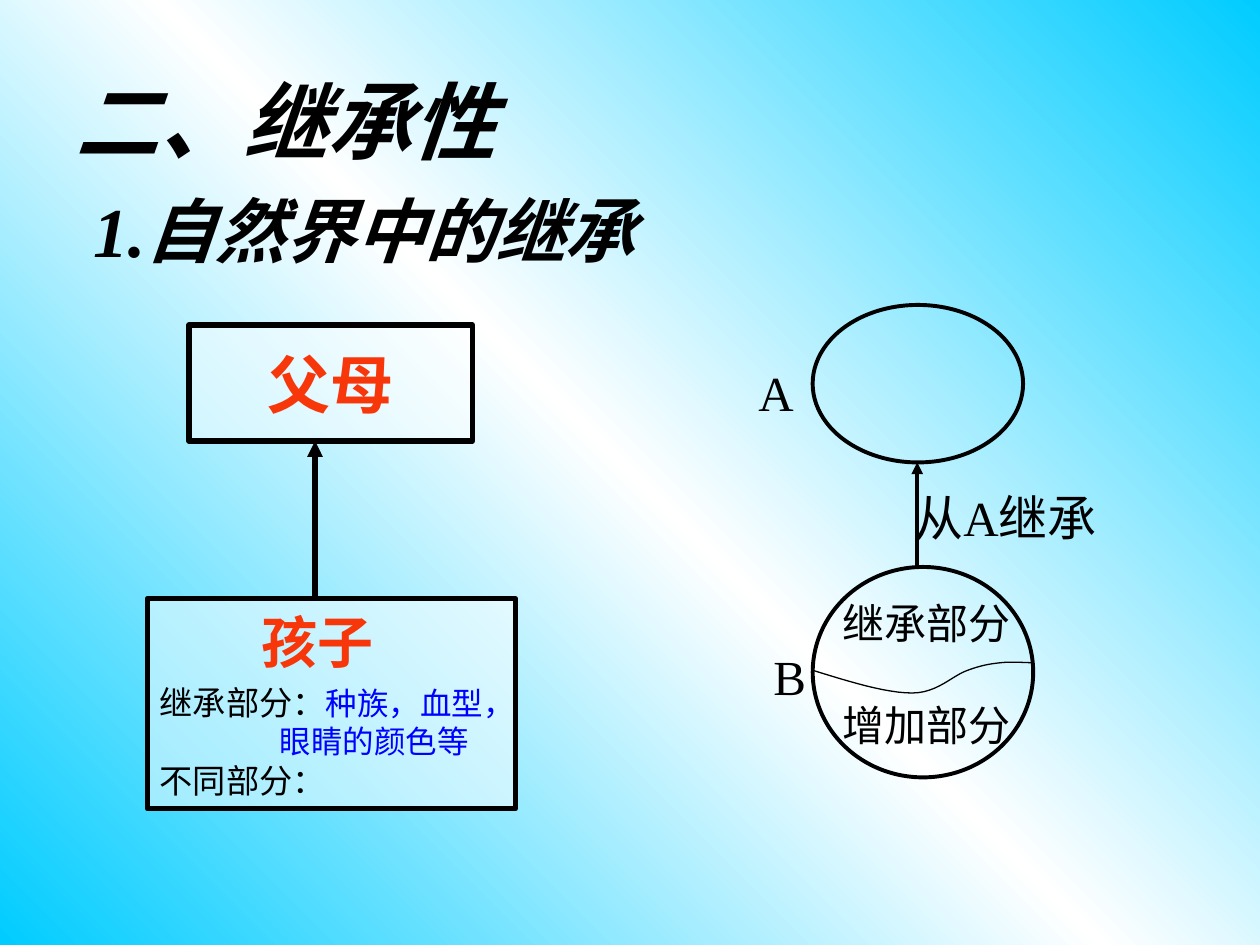
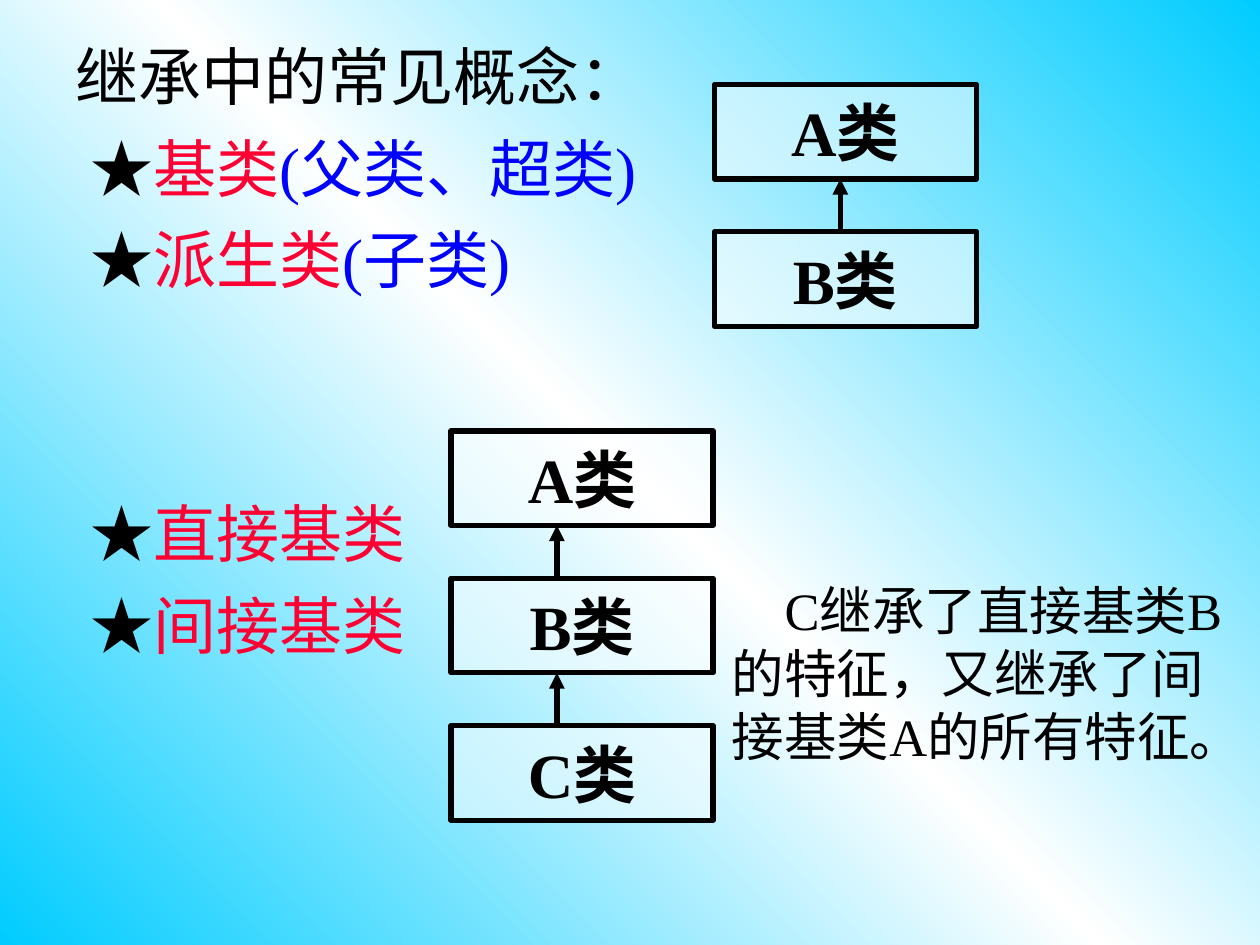
import pptx
import pptx.util
import pptx.dml.color
import pptx.enum.shapes
import pptx.enum.text
import pptx.oxml
import pptx.oxml.ns

Inches, Pt = pptx.util.Inches, pptx.util.Pt
Color = pptx.dml.color.RGBColor
Shape = pptx.enum.shapes.MSO_SHAPE
Align = pptx.enum.text.PP_ALIGN
Anchor = pptx.enum.text.MSO_ANCHOR

BLACK = Color(0x00, 0x00, 0x00)
WHITE = Color(0xFF, 0xFF, 0xFF)
ORANGE = Color(0xF7, 0x36, 0x09)
RED = Color(0xFF, 0x00, 0x33)
BLUE = Color(0x00, 0x00, 0xFF)
SKY = Color(0x00, 0xCC, 0xFF)
FONT = "Times New Roman"
NS = pptx.oxml.ns.nsdecls("a")


def element(xml):
    """Parse one DrawingML element, given without its namespace."""
    tag, rest = xml[1:].split(" ", 1)
    return pptx.oxml.parse_xml(f"<a:{tag} {NS} {rest}")


def backdrop(slide):
    fill = slide.background.fill
    fill.solid()
    stops = "".join(f'<a:gs pos="{pos}"><a:srgbClr val="{color}"/></a:gs>'
                    for pos, color in ((0, SKY), (50000, WHITE), (100000, SKY)))
    grad = element(f'<gradFill rotWithShape="1"><a:gsLst>{stops}</a:gsLst>'
                   '<a:lin ang="18900000" scaled="1"/></a:gradFill>')
    solid = slide.background._cSld.bg.bgPr.find(pptx.oxml.ns.qn("a:solidFill"))
    solid.getparent().replace(solid, grad)


def write(frame, runs, size=36, color=BLACK, bold=False, italic=False,
          align=None, before=0, left=0, first=0):
    """Add a paragraph; runs is a text or a list of (text, colour, size)."""
    para = frame.paragraphs[0]
    if para.runs:
        para = frame.add_paragraph()
    para.alignment = align
    para.space_before = Pt(before)
    props = para._p.get_or_add_pPr()
    props.set("marL", str(Inches(left)))
    props.set("indent", str(Inches(first)))
    for words, tint, points in [(runs, color, size)] if isinstance(runs, str) else runs:
        run = para.add_run()
        run.text = words
        font = run.font
        font.name, font.size = FONT, Pt(points)
        font.bold, font.italic = bold, italic
        font.color.rgb = tint


def area(shapes, x, y, w, h, wrap=True):
    """Add an empty text box and return its frame."""
    frame = shapes.add_textbox(Inches(x), Inches(y), Inches(w), Inches(h)).text_frame
    frame.word_wrap = wrap
    return frame


def label(shapes, x, y, w, h, words, size):
    write(area(shapes, x, y, w, h, wrap=False), words, size=size)


def outline(shape, width):
    shape.shadow.inherit = False
    shape.line.color.rgb = BLACK
    shape.line.width = Pt(width)


def box(shapes, x, y, w, h):
    """Add a half-clear white box and return its frame."""
    rect = shapes.add_shape(Shape.RECTANGLE, Inches(x), Inches(y), Inches(w), Inches(h))
    outline(rect, 3)
    rect.fill.solid()
    rect.fill.fore_color.rgb = WHITE
    tint = rect._element.spPr.find(".//" + pptx.oxml.ns.qn("a:srgbClr"))
    tint.append(element('<alpha val="50000"/>'))
    frame = rect.text_frame
    frame.word_wrap = False
    frame.vertical_anchor = Anchor.MIDDLE
    frame.paragraphs[0].alignment = Align.LEFT
    return frame


def oval(shapes, x, y, w, h):
    ring = shapes.add_shape(Shape.OVAL, Inches(x), Inches(y), Inches(w), Inches(h))
    outline(ring, 2.25)
    ring.fill.background()


def arrow(shapes, x, low, high, width=3):
    """Draw an upright arrow that points up from low to high."""
    line = shapes.add_connector(pptx.enum.shapes.MSO_CONNECTOR.STRAIGHT,
                                Inches(x), Inches(low), Inches(x), Inches(high))
    line.line.color.rgb = BLACK
    line.line.width = Pt(width)
    line.line._get_or_add_ln().append(element('<tailEnd type="triangle"/>'))
    line._element.spPr.append(element('<effectLst />'))


def wave(shapes, x, y):
    """Draw the curve that parts the two halves of a circle."""
    knots = [(0, .07), (.29, .16), (.58, .25), (.79, .25), (.99, .25), (1.11, .11),
             (1.23, .07), (1.34, .03), (1.40, .02), (1.49, .01), (1.58, 0),
             (1.69, .01), (1.75, .01)]
    steps = 12
    points = []
    for k in range(0, len(knots) - 1, 3):
        for n in range(1, steps + 1):
            t = n / steps
            parts = ((1 - t) ** 3, 3 * t * (1 - t) ** 2, 3 * t * t * (1 - t), t ** 3)
            points.append([Inches(base + sum(p * knot[axis] for p, knot
                                             in zip(parts, knots[k:k + 4])))
                           for axis, base in enumerate((x, y))])
    path = shapes.build_freeform(Inches(x + knots[0][0]), Inches(y + knots[0][1]))
    path.add_line_segments(points, close=False)
    curve = path.convert_to_shape()
    outline(curve, .75)
    curve.fill.background()


def stack(shapes, x, y, names, stem):
    """Pile class boxes, with an arrow from each up to the one above."""
    high, gap = .75, .42
    for row, name in enumerate(names):
        top = y + row * (high + gap)
        write(box(shapes, x, top, 2.08, high), name + "类", bold=True,
              align=Align.CENTER, before=9)
        if row:
            arrow(shapes, x + stem, top, top - gap)


def family(shapes, x, y):
    """Parents and child, joined by an arrow."""
    write(box(shapes, x + .33, y, 2.25, .92), "父母", color=ORANGE, bold=True,
          align=Align.CENTER, before=9)
    child = box(shapes, x, y + 2.17, 2.92, 1.67)
    write(child, "孩子", size=32, color=ORANGE, bold=True, before=8, left=.81)
    write(child, [("继承部分：", BLACK, 19), ("种族，血型，", BLUE, 18)], before=4.5)
    write(child, "眼睛的颜色等", size=18, color=BLUE, left=.95)
    write(child, "不同部分：", size=19)
    arrow(shapes, x + 1.33, y + 2.17, y + .92)


def derive(shapes, x, y):
    """Circle B takes from oval A."""
    oval(shapes, x, y, 1.67, 1.25)
    label(shapes, x - .53, y + .41, .48, .57, "A", 28)
    oval(shapes, x, y + 2.08, 1.75, 1.67)
    label(shapes, x - .41, y + 2.66, .46, .57, "B", 28)
    wave(shapes, x, y + 2.83)
    for drop, words in ((2.27, "继承部分"), (3.08, "增加部分")):
        label(shapes, x + .14, y + drop, 1.53, .5, words, 24)
    arrow(shapes, x + .83, y + 2.08, y + 1.25, 2.25)
    label(shapes, x + .71, y + 1.4, 1.83, .57, "从A继承", 28)


def nature(slide):
    shapes = slide.shapes
    head = area(shapes, .5, .5, 6.17, 1.83)
    write(head, "二、继承性", size=48, bold=True, italic=True, before=12)
    write(head, "1.自然界中的继承", size=40, bold=True, italic=True, before=10, left=.14)
    family(shapes, 1.17, 2.58)
    derive(shapes, 6.45, 2.42)


def terms(slide):
    shapes = slide.shapes
    body = area(shapes, .5, .25, 9.5, 6.67)
    write(body, "继承中的常见概念：", before=9)
    for term, alias, before in (("基类", "(父类、超类)", 9), ("派生类", "(子类)", 9),
                                ("直接基类", "", 113.6), ("间接基类", "", 9)):
        runs = [("★", BLACK, 36), (term, RED, 36)]
        if alias:
            runs.append((alias, BLUE, 36))
        write(body, runs, before=before, left=.12)
    stack(shapes, 5.67, .67, "AB", 1)
    stack(shapes.add_group_shape().shapes, 3.58, 3.42, "ABC", .84)
    write(area(shapes, 5.71, 4.54, 4.17, 2.1),
          "C继承了直接基类B的特征，又继承了间接基类A的所有特征。",
          size=30, before=7.5, first=.42)


def main():
    deck = pptx.Presentation()
    deck.slide_width, deck.slide_height = Inches(10), Inches(7.5)
    for build in (nature, terms):
        slide = deck.slides.add_slide(deck.slide_layouts[6])
        backdrop(slide)
        build(slide)
    deck.save("out.pptx")


if __name__ == "__main__":
    main()
